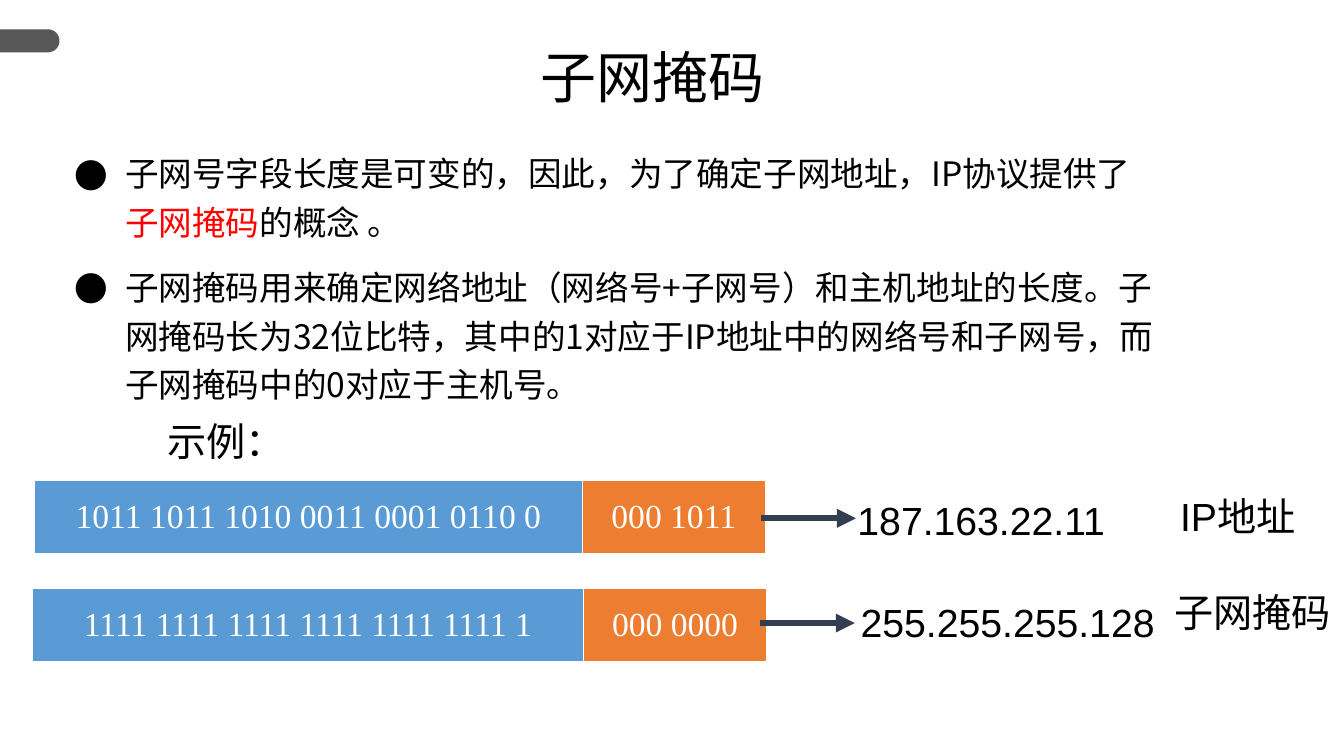
from math import cos, pi, sin

from lxml.etree import SubElement
from pptx import Presentation
from pptx.dml.color import RGBColor
from pptx.enum.shapes import MSO_CONNECTOR
from pptx.enum.text import MSO_ANCHOR as Anchor, MSO_AUTO_SIZE as AutoSize, PP_ALIGN as Align
from pptx.oxml.ns import qn
from pptx.util import Cm, Pt

COLORS = {
    "text": "000000",
    "accent": "FF0000",
    "tab": "575757",
    "network": "5B9BD5",
    "host": "ED7D31",
    "white": "FFFFFF",
    "arrow": "333F50",
}
CJK = "Noto Sans CJK SC"
LATIN = "Arial"
SERIF = "Times New Roman"


def rgb(name):
    return RGBColor.from_string(COLORS[name])


def add_span(para, text, size, font, color="text", east_asian=CJK):
    span = para.add_run()
    span.text = text
    span.font.size = Pt(size)
    span.font.name = font
    span.font.color.rgb = rgb(color)
    SubElement(span.font._element, qn("a:ea"), typeface=east_asian)


def place(shape, left, top, width, height):
    shape.left, shape.top = Cm(left), Cm(top)
    shape.width, shape.height = Cm(width), Cm(height)


def add_corner_tab(page):
    """Draw the bar at the left edge with its rounded right end."""
    center_x, center_y, radius, steps = 1.21, 1.03, 0.29, 24
    angles = [-pi / 2 + pi * step / steps for step in range(steps + 1)]
    arc = [(Cm(center_x + radius * cos(a)), Cm(center_y + radius * sin(a))) for a in angles]
    builder = page.shapes.build_freeform(Cm(0), Cm(center_y - radius))
    builder.add_line_segments(arc + [(Cm(0), Cm(center_y + radius))], close=True)
    tab = builder.convert_to_shape()
    tab.shadow.inherit = False
    tab.fill.solid()
    tab.fill.fore_color.rgb = rgb("tab")
    tab.line.fill.background()


def fill_title(title, text):
    place(title, 5.72, 1.14, 21.46, 3.18)
    frame = title.text_frame
    frame.vertical_anchor = Anchor.TOP
    frame.auto_size = AutoSize.NONE
    para = frame.paragraphs[0]
    para.alignment = Align.CENTER
    para.line_spacing = 0.9
    add_span(para, text, 40, CJK)


def fill_bullets(body, items):
    place(body, 1.63, 3.53, 27.71, 6.93)
    frame = body.text_frame
    frame.vertical_anchor = Anchor.TOP
    frame.auto_size = AutoSize.NONE
    for index, spans in enumerate(items):
        para = frame.add_paragraph() if index else frame.paragraphs[0]
        para.line_spacing = Pt(34.6)
        para.space_before = Pt(0)
        para.space_after = Pt(12)
        props = para._p.get_or_add_pPr()
        props.set("marL", str(Cm(1.27)))
        props.set("indent", str(-Cm(1.27)))
        SubElement(props, qn("a:buFont"), typeface=CJK)
        SubElement(props, qn("a:buChar"), char="●")
        for text, color in spans:
            add_span(para, text, 24, CJK, color)


def add_label(page, text, left, top, width, wrap=True):
    box = page.shapes.add_textbox(Cm(left), Cm(top), Cm(width), Cm(1.45))
    box.text_frame.word_wrap = wrap
    add_span(box.text_frame.paragraphs[0], text, 28, LATIN)


def add_cell_borders(cell):
    props = cell._tc.get_or_add_tcPr()
    for side, points in (("L", 1), ("R", 1), ("T", 1), ("B", 3)):
        line = SubElement(props, qn(f"a:ln{side}"), w=str(Pt(points)))
        fill = SubElement(line, qn("a:solidFill"))
        SubElement(fill, qn("a:srgbClr"), val=COLORS["white"])


def add_bit_table(page, bits, left, top, widths):
    """Show the network bits and the host bits side by side."""
    height = Cm(1.88)
    table = page.shapes.add_table(
        1, len(bits), Cm(left), Cm(top), Cm(sum(widths)), height
    ).table
    table.first_row = table.horz_banding = False
    for column, (text, color) in enumerate(zip(bits, ("network", "host"))):
        table.columns[column].width = Cm(widths[column])
        cell = table.cell(0, column)
        add_cell_borders(cell)
        cell.fill.solid()
        cell.fill.fore_color.rgb = rgb(color)
        cell.vertical_anchor = Anchor.MIDDLE
        para = cell.text_frame.paragraphs[0]
        para.alignment = Align.CENTER
        add_span(para, text, 24, SERIF, "white", SERIF)


def add_arrow(page, left, y):
    arrow = page.shapes.add_connector(
        MSO_CONNECTOR.STRAIGHT, Cm(left), Cm(y), Cm(left + 2.39), Cm(y)
    )
    arrow.line.color.rgb = rgb("arrow")
    arrow.line.width = Pt(4.5)
    SubElement(arrow.line._get_or_add_ln(), qn("a:tailEnd"), type="triangle")
    SubElement(arrow._element.spPr, qn("a:effectLst"))


def main():
    deck = Presentation()
    deck.slide_width, deck.slide_height = Cm(33.87), Cm(19.05)
    page = deck.slides.add_slide(deck.slide_layouts[1])

    add_corner_tab(page)
    fill_title(page.shapes.title, "子网掩码")
    fill_bullets(page.placeholders[1], [
        [
            ("子网号字段长度是可变的，因此，为了确定子网地址，IP协议提供了", "text"),
            ("子网掩码", "accent"),
            ("的概念 。", "text"),
        ],
        [(
            "子网掩码用来确定网络地址（网络号+子网号）和主机地址的长度。"
            "子网掩码长为32位比特，其中的1对应于IP地址中的网络号和子网号，"
            "而子网掩码中的0对应于主机号。",
            "text",
        )],
    ])

    add_bit_table(page, ("1011 1011 1010 0011 0001 0110 0", "000 1011"),
                  0.87, 12.1, (13.8, 4.62))
    add_bit_table(page, ("1111 1111 1111 1111 1111 1111 1", "000 0000"),
                  0.82, 14.82, (13.88, 4.62))
    add_label(page, "187.163.22.11", 21.36, 12.37, 10.39)
    add_label(page, "255.255.255.128", 21.44, 14.94, 10.39)
    add_arrow(page, 19.18, 13.06)
    add_arrow(page, 19.15, 15.7)
    add_label(page, "示例：", 3.96, 10.4, 3.51, wrap=False)
    add_label(page, "IP地址", 29.49, 12.27, 4.24)
    add_label(page, "子网掩码", 29.34, 14.7, 4.53)

    deck.save("out.pptx")


if __name__ == "__main__":
    main()
